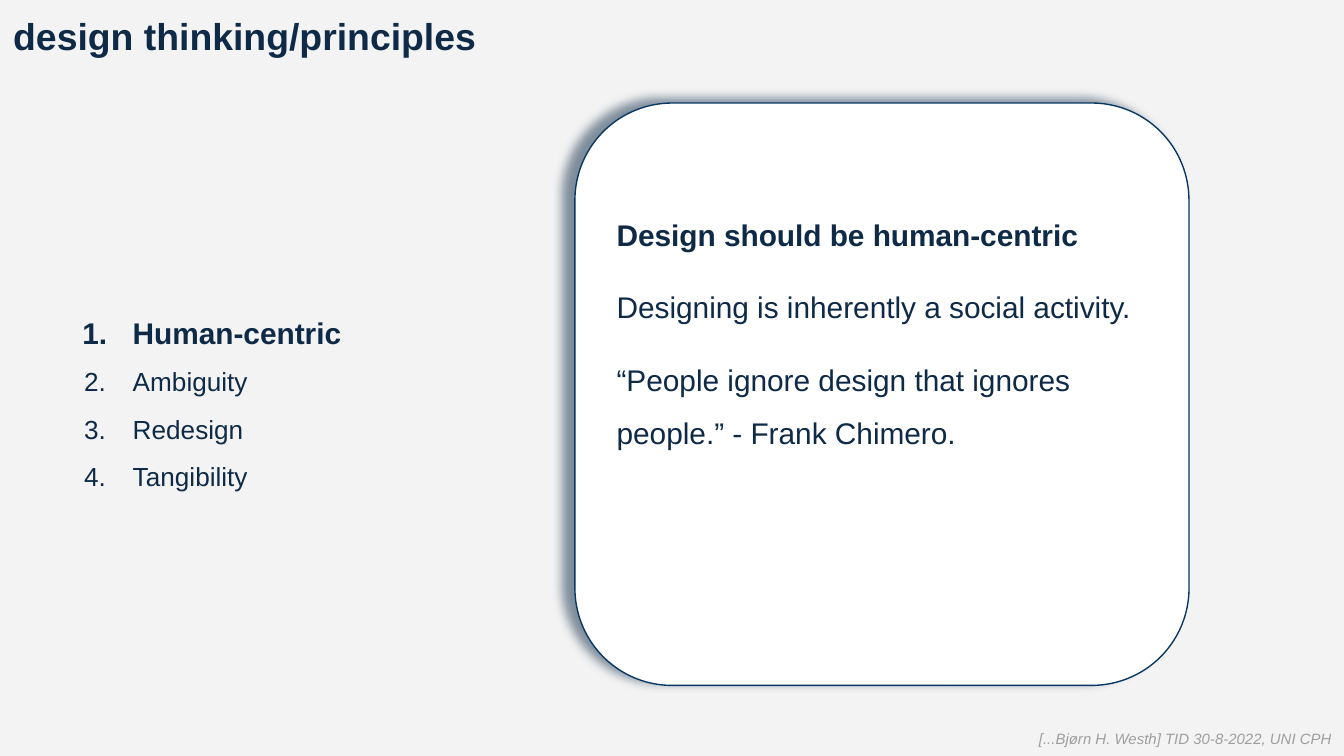
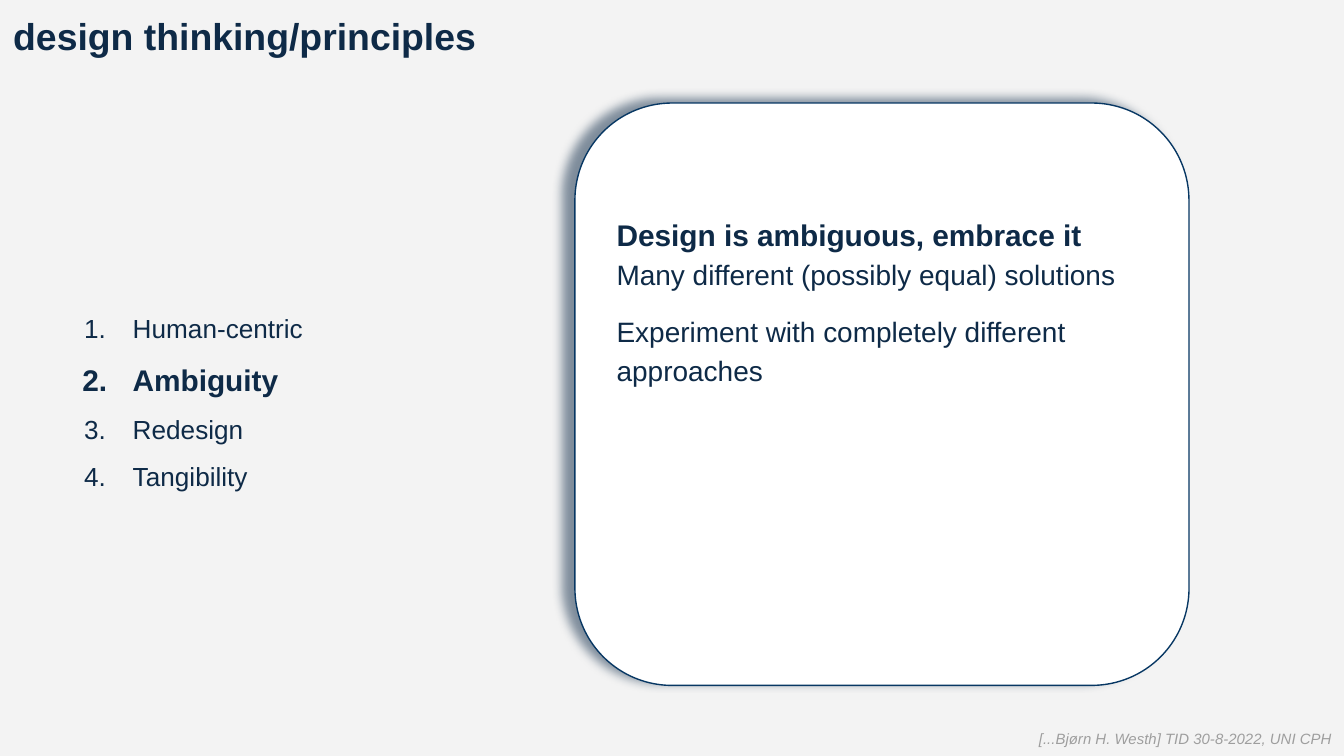
from dataclasses import dataclass

from lxml import etree
from pptx import Presentation
from pptx.dml.color import RGBColor
from pptx.enum.shapes import MSO_SHAPE
from pptx.enum.text import MSO_ANCHOR, MSO_AUTO_SIZE, PP_ALIGN
from pptx.oxml.ns import qn
from pptx.util import Pt

RECT, ROUNDED = MSO_SHAPE.RECTANGLE, MSO_SHAPE.ROUNDED_RECTANGLE
TOP, MIDDLE = MSO_ANCHOR.TOP, MSO_ANCHOR.MIDDLE
LEFT = PP_ALIGN.LEFT
FIT_SHAPE = MSO_AUTO_SIZE.SHAPE_TO_FIT_TEXT


@dataclass(frozen=True)
class Theme:
    """Colours, font and type sizes of the deck."""
    font: str = "Arial"
    paper: str = "F3F3F3"
    card: str = "FFFFFF"
    ink: str = "0E2A47"
    outline: str = "073763"
    muted: str = "9E9E9E"
    title: int = 20
    lead: int = 16
    body: int = 15
    item: int = 14
    footer: int = 8
    inset: float = 7.2


T = Theme()
SLIDE_W, SLIDE_H = 720, 405
TITLE_BOX = (0, 0, SLIDE_W, 36)
LIST_BOX = (28, 36, 242, 350)
CARD_BOX = (308, 55.2, 329, 312)
FOOTER_BOX = (549.5, 386, 178, 24.5)

TITLE = "design thinking/principles"
FOOTER = "[...Bjørn H. Westh] TID 30-8-2022, UNI CPH"
PRINCIPLES = ["Human-centric", "Ambiguity", "Redesign", "Tangibility"]
OPEN = dict(spacing=1.5, before=10)
TIGHT = dict(spacing=1.15, size=T.body)
CARDS = [
    [("Design should be human-centric", dict(OPEN, bold=True)),
     ("Designing is inherently a social activity.", OPEN),
     ("“People ignore design that ignores people.” - Frank Chimero.", OPEN)],
    [("Design is ambiguous, embrace it", dict(OPEN, bold=True)),
     ("Many different (possibly equal) solutions", TIGHT),
     ("Experiment with completely different approaches",
      dict(TIGHT, before=10, after=10))],
]


def rgb(code):
    """Turn a hex code into a colour."""
    return RGBColor.from_string(code)


def points(box):
    """Turn a box given in points into lengths."""
    return [Pt(v) for v in box]


def setup_frame(tf, anchor=TOP, top=T.inset):
    """Set wrapping, anchor and insets of a text frame."""
    tf.word_wrap = True
    tf.vertical_anchor = anchor
    tf.margin_left = tf.margin_right = tf.margin_bottom = Pt(T.inset)
    tf.margin_top = Pt(top)


def add_text(tf, text, size=T.lead, color=T.ink, bold=False, italic=False,
             spacing=1.0, before=0, after=0):
    """Write one paragraph, using the empty first one if it is free."""
    p = tf.paragraphs[0] if not tf.text else tf.add_paragraph()
    p.alignment = LEFT
    p.line_spacing = spacing
    p.space_before, p.space_after = Pt(before), Pt(after)
    r = p.add_run()
    r.text = text
    f = r.font
    f.name, f.size, f.bold, f.italic = T.font, Pt(size), bold, italic
    f.color.rgb = rgb(color)
    return p


def add_number(p, hang):
    """Number a paragraph, with a hanging indent."""
    pPr = p._p.get_or_add_pPr()
    pPr.set("marL", str(Pt(36)))
    pPr.set("indent", str(-Pt(hang)))
    clr = etree.SubElement(pPr, qn("a:buClr"))
    etree.SubElement(clr, qn("a:srgbClr"), val=T.ink)
    etree.SubElement(pPr, qn("a:buFont"), typeface=T.font)
    etree.SubElement(pPr, qn("a:buAutoNum"), type="arabicPeriod")


def add_shadow(sp, blur, dist, angle, opacity):
    """Give a shape a soft outer shadow."""
    sp.shadow.inherit = False
    effects = sp._element.spPr.find(qn("a:effectLst"))
    shadow = etree.SubElement(
        effects, qn("a:outerShdw"), blurRad=str(Pt(blur)), dist=str(Pt(dist)),
        dir=str(angle * 60000), algn="bl", rotWithShape="0")
    clr = etree.SubElement(shadow, qn("a:srgbClr"), val=T.ink)
    etree.SubElement(clr, qn("a:alpha"), val=str(opacity * 1000))


def add_label(s, box, text, **fmt):
    """Place a single line of text in a box."""
    tf = s.shapes.add_textbox(*points(box)).text_frame
    setup_frame(tf)
    add_text(tf, text, **fmt)
    return tf


def add_principles(s, box, current):
    """Place the numbered principles, with the current one stressed."""
    sp = s.shapes.add_shape(RECT, *points(box))
    sp.shadow.inherit = False
    sp.fill.solid()
    sp.fill.fore_color.rgb = rgb(T.paper)
    sp.line.fill.background()
    setup_frame(sp.text_frame, MIDDLE)
    for i, name in enumerate(PRINCIPLES):
        active = i == current
        p = add_text(sp.text_frame, name, size=T.lead if active else T.item,
                     bold=active, spacing=1.5, before=0 if i else 10)
        add_number(p, hang=27 if active else 26)


def add_card(s, box, paragraphs):
    """Place the rounded card that explains a principle."""
    sp = s.shapes.add_shape(ROUNDED, *points(box))
    sp.adjustments[0] = 0.167
    sp.fill.solid()
    sp.fill.fore_color.rgb = rgb(T.card)
    sp.line.color.rgb = rgb(T.outline)
    sp.line.width = Pt(0.75)
    add_shadow(sp, blur=5.6, dist=6.8, angle=199, opacity=51)
    setup_frame(sp.text_frame, top=36)
    for text, fmt in paragraphs:
        add_text(sp.text_frame, text, **fmt)


def add_principle_slide(prs, current, paragraphs):
    """Add a slide about one principle."""
    s = prs.slides.add_slide(prs.slide_layouts[6])
    s.background.fill.solid()
    s.background.fill.fore_color.rgb = rgb(T.paper)
    add_label(s, TITLE_BOX, TITLE, size=T.title, bold=True)
    add_principles(s, LIST_BOX, current)
    add_card(s, CARD_BOX, paragraphs)
    footer = add_label(s, FOOTER_BOX, FOOTER, size=T.footer, color=T.muted,
                       italic=True)
    footer.auto_size = FIT_SHAPE


prs = Presentation()
prs.slide_width, prs.slide_height = Pt(SLIDE_W), Pt(SLIDE_H)
for current, paragraphs in enumerate(CARDS):
    add_principle_slide(prs, current, paragraphs)
prs.save("out.pptx")
